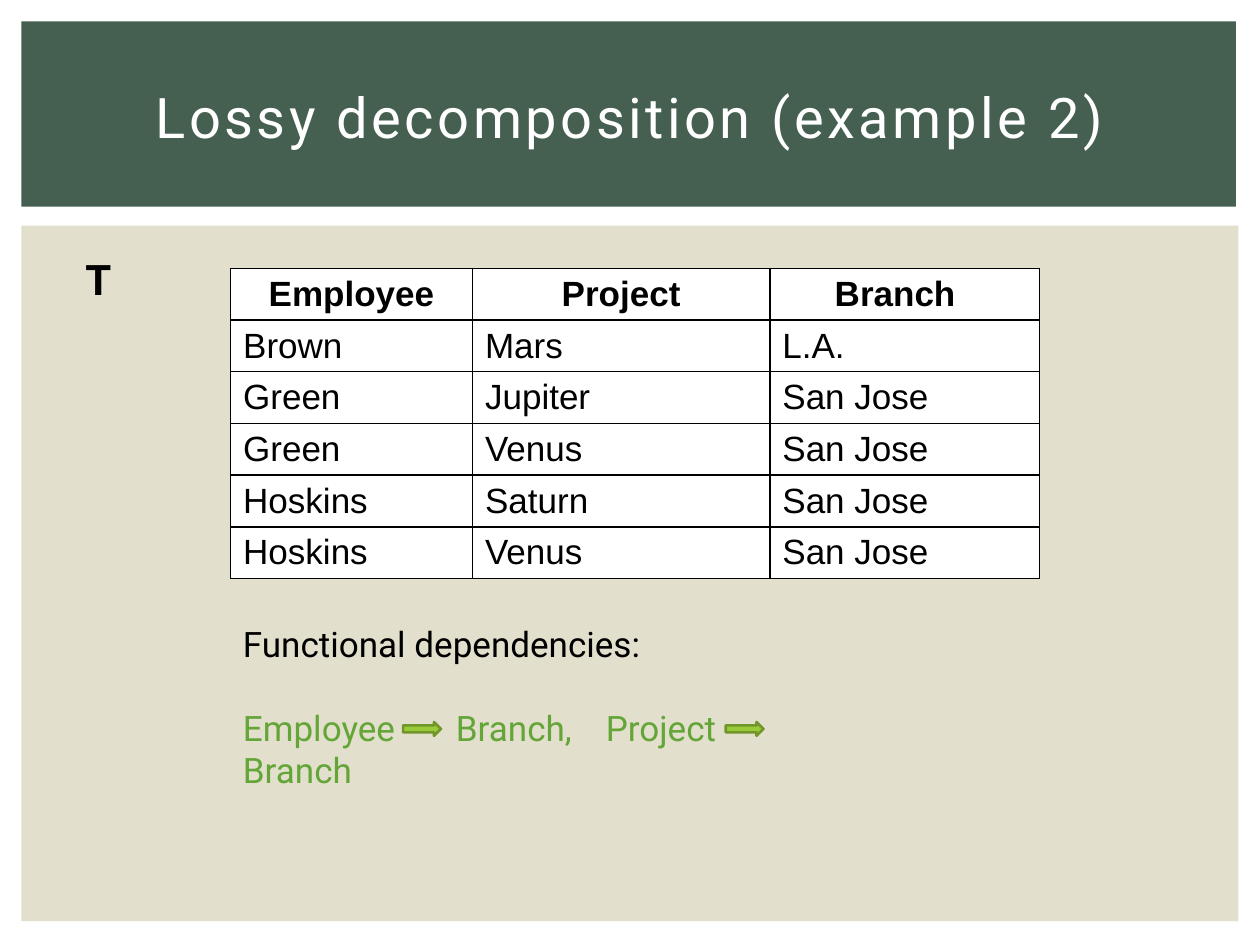
from lxml import etree
from pptx import Presentation
from pptx.dml.color import RGBColor
from pptx.enum.shapes import MSO_SHAPE
from pptx.enum.text import MSO_ANCHOR, PP_ALIGN
from pptx.oxml.ns import qn
from pptx.util import Inches, Pt

RECTANGLE, RIGHT_ARROW = MSO_SHAPE.RECTANGLE, MSO_SHAPE.RIGHT_ARROW
MIDDLE, TOP = MSO_ANCHOR.MIDDLE, MSO_ANCHOR.TOP
CENTER, LEFT = PP_ALIGN.CENTER, PP_ALIGN.LEFT
COLORS = {
    "white": "FFFFFF", "black": "000000", "sand": "E2DFCC", "forest": "455F51",
    "dependency": "63A537", "arrow": "99CB38", "arrow_edge": "719629",
}

presentation = Presentation()
presentation.slide_width = Inches(10)
presentation.slide_height = Inches(7.5)
COLUMN = presentation.slide_width / 100
ROW = presentation.slide_height / 75
slide = presentation.slides.add_slide(presentation.slide_layouts[5])


def grid(left, top, width, height):
    return [round(value * unit) for value, unit in
            zip((left, top, width, height), (COLUMN, ROW, COLUMN, ROW))]


def add_run(paragraph, text, size, color, font="Roboto", bold=False):
    run = paragraph.add_run()
    run.text = text
    run.font.size = Pt(size)
    run.font.name = font
    run.font.bold = bold
    run.font.color.rgb = RGBColor.from_string(COLORS[color])
    return run


bands = [
    (RECTANGLE, (1.7, 17.9, 96.6, 55.2), "sand", None),
    (RECTANGLE, (1.7, 1.7, 96.4, 14.7), "forest", None),
]
arrows = [(RIGHT_ARROW, (left, 57.3, 3, 1.1), "arrow", "arrow_edge") for left in (32, 57.6)]
for preset, place, fill, edge in bands + arrows:
    shape = slide.shapes.add_shape(preset, *grid(*place))
    shape.shadow.inherit = False
    shape.fill.solid()
    shape.fill.fore_color.rgb = RGBColor.from_string(COLORS[fill])
    if edge:
        shape.line.color.rgb = RGBColor.from_string(COLORS[edge])
        shape.line.width = Pt(1.5)
    else:
        shape.line.fill.background()

title = slide.shapes.title
title.left, title.top, title.width, title.height = grid(5, 3, 90, 12.5)
title.text_frame.vertical_anchor = MIDDLE
paragraph = title.text_frame.paragraphs[0]
paragraph.alignment = CENTER
run = add_run(paragraph, "Lossy decomposition (example 2)", 32, "white")
run.font._element.set("spc", "200")
slide.shapes._spTree.append(title._element)

records = [
    ("Employee", "Project", "Branch"),
    ("Brown", "Mars", "L.A."),
    ("Green", "Jupiter", "San Jose"),
    ("Green", "Venus", "San Jose"),
    ("Hoskins", "Saturn", "San Jose"),
    ("Hoskins", "Venus", "San Jose"),
]
column_widths = (19.2, 23.6, 21.4)
row_height = 4.1
table = slide.shapes.add_table(
    len(records), len(column_widths),
    *grid(18.3, 21.3, sum(column_widths), row_height * len(records))).table
table.horz_banding = False
for column, width in zip(table.columns, column_widths):
    column.width = round(width * COLUMN)
for row_index, record in enumerate(records):
    table.rows[row_index].height = round(row_height * ROW)
    header = row_index == 0
    for column_index, text in enumerate(record):
        cell = table.cell(row_index, column_index)
        cell.vertical_anchor = MIDDLE if header else TOP
        properties = cell._tc.get_or_add_tcPr()
        for side in ("L", "R", "T", "B"):
            border = etree.SubElement(properties, qn(f"a:ln{side}"), w=str(Pt(1)))
            border_fill = etree.SubElement(border, qn("a:solidFill"))
            etree.SubElement(border_fill, qn("a:srgbClr"), val=COLORS["black"])
        cell.fill.solid()
        cell.fill.fore_color.rgb = RGBColor.from_string(COLORS["white"])
        paragraph = cell.text_frame.paragraphs[0]
        paragraph.alignment = CENTER if header else LEFT
        add_run(paragraph, text, 20, "black", "Arial", header)
table.cell(0, 2).margin_right = round(2.5 * COLUMN)

labels = [
    ((5.8, 19.6, 10, 5), ["T"], 24, "black", True),
    ((18.3, 48.9, 34.4, 4.3), ["Functional dependencies:"], 20, "black", False),
    ((18.3, 55.6, 54, 4.4), ["Employee\tBranch,\tProject", "Branch"], 20, "dependency", False),
]
for place, lines, size, color, bold in labels:
    text_frame = slide.shapes.add_textbox(*grid(*place)).text_frame
    text_frame.word_wrap = True
    paragraph = text_frame.paragraphs[0]
    for line_index, line in enumerate(lines):
        if line_index:
            paragraph.add_line_break()
        add_run(paragraph, line, size, color, bold=bold)

tab_list = etree.SubElement(paragraph._p.get_or_add_pPr(), qn("a:tabLst"))
for position in (16.9, 28.8):
    etree.SubElement(tab_list, qn("a:tab"), pos=str(round(position * COLUMN)), algn="l")

presentation.save("out.pptx")
